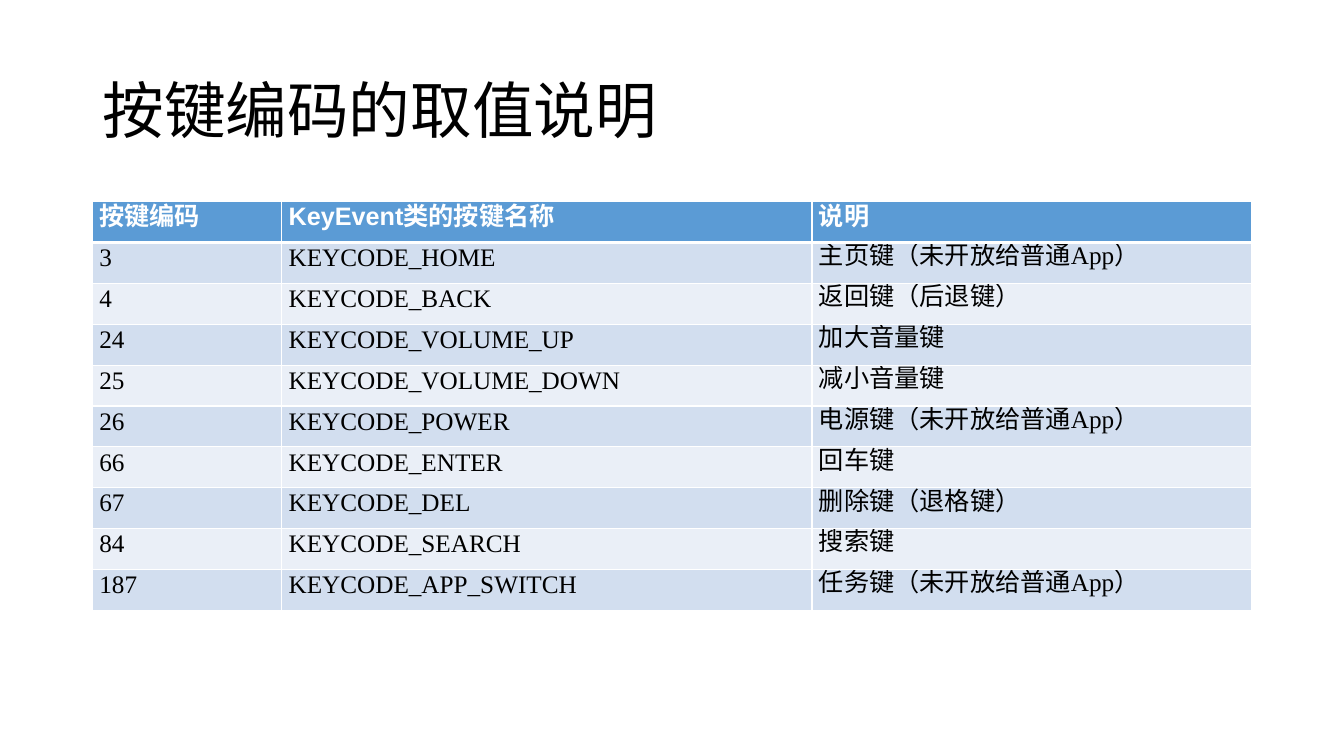
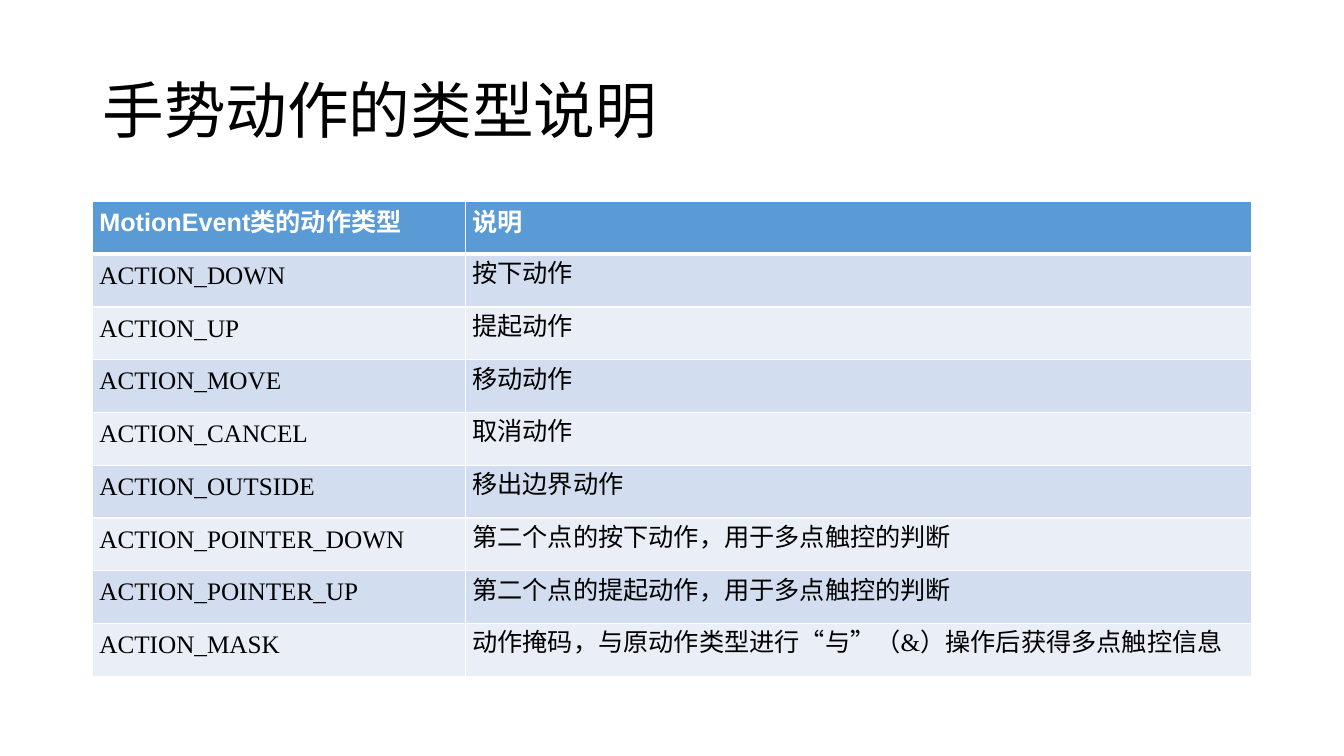
from dataclasses import dataclass
from typing import Any

from lxml.etree import SubElement
from pptx import Presentation
from pptx.dml.color import RGBColor
from pptx.enum.lang import MSO_LANGUAGE_ID
from pptx.enum.text import MSO_ANCHOR, MSO_AUTO_SIZE, PP_ALIGN
from pptx.oxml.ns import qn
from pptx.util import Pt

COLORS = {
    "title": "000000",
    "header_fill": "5B9BD5",
    "header_text": "FFFFFF",
    "body_text": "000000",
    "odd_row": "D2DEEF",
    "even_row": "EAEFF7",
    "border": "FFFFFF",
}
LEFT = 66
CONTENT_WIDTH = 828
TABLE_TOP = 144
THIN_BORDER = 1
THICK_BORDER = 3

TITLE_BOX = {"left": Pt(LEFT), "top": Pt(28.75), "width": Pt(CONTENT_WIDTH), "height": Pt(104.4)}
TITLE_FRAME = {
    "auto_size": MSO_AUTO_SIZE.NONE,
    "word_wrap": True,
    "vertical_anchor": MSO_ANCHOR.MIDDLE,
}
CELL_FORMAT = {
    "vertical_anchor": MSO_ANCHOR.MIDDLE,
    "margin_left": Pt(5),
    "margin_right": Pt(5),
    "margin_top": Pt(0),
    "margin_bottom": Pt(0),
}


@dataclass(frozen=True)
class TextStyle:
    paragraph: dict[str, Any]
    font: dict[str, Any]
    color: str


@dataclass(frozen=True)
class TableSlide:
    title: str
    column_widths: tuple[float, ...]
    row_height: float
    rows: tuple[tuple[str, ...], ...]


TITLE_STYLE = TextStyle(
    {"alignment": PP_ALIGN.LEFT, "line_spacing": 0.9},
    {"name": "Calibri", "size": Pt(44), "bold": False},
    "title",
)
HEADER_STYLE = TextStyle(
    {"alignment": PP_ALIGN.JUSTIFY, "line_spacing": Pt(15.6)},
    {"name": "Arial", "size": Pt(18), "bold": True},
    "header_text",
)
BODY_STYLE = TextStyle(
    {"alignment": PP_ALIGN.LEFT, "line_spacing": Pt(13)},
    {"name": "Times New Roman", "size": Pt(18), "bold": False},
    "body_text",
)

TABLE_SLIDES = (
    TableSlide(
        "按键编码的取值说明",
        (135.2, 378.8, 314),
        29.2,
        (
            ("按键编码", "KeyEvent类的按键名称", "说明"),
            ("3", "KEYCODE_HOME", "主页键（未开放给普通App）"),
            ("4", "KEYCODE_BACK", "返回键（后退键）"),
            ("24", "KEYCODE_VOLUME_UP", "加大音量键"),
            ("25", "KEYCODE_VOLUME_DOWN", "减小音量键"),
            ("26", "KEYCODE_POWER", "电源键（未开放给普通App）"),
            ("66", "KEYCODE_ENTER", "回车键"),
            ("67", "KEYCODE_DEL", "删除键（退格键）"),
            ("84", "KEYCODE_SEARCH", "搜索键"),
            ("187", "KEYCODE_APP_SWITCH", "任务键（未开放给普通App）"),
        ),
    ),
    TableSlide(
        "手势动作的类型说明",
        (266.4, 561.6),
        37.7,
        (
            ("MotionEvent类的动作类型", "说明"),
            ("ACTION_DOWN", "按下动作"),
            ("ACTION_UP", "提起动作"),
            ("ACTION_MOVE", "移动动作"),
            ("ACTION_CANCEL", "取消动作"),
            ("ACTION_OUTSIDE", "移出边界动作"),
            ("ACTION_POINTER_DOWN", "第二个点的按下动作，用于多点触控的判断"),
            ("ACTION_POINTER_UP", "第二个点的提起动作，用于多点触控的判断"),
            ("ACTION_MASK", "动作掩码，与原动作类型进行“与”（&）操作后获得多点触控信息"),
        ),
    ),
)


def apply_format(target: Any, values: dict[str, Any]) -> None:
    for name, value in values.items():
        setattr(target, name, value)


def color_of(name: str) -> RGBColor:
    return RGBColor.from_string(COLORS[name])


def write_text(text_frame: Any, text: str, style: TextStyle) -> None:
    paragraph = text_frame.paragraphs[0]
    apply_format(paragraph, style.paragraph)
    run = paragraph.add_run()
    run.text = text
    apply_format(run.font, style.font)
    run.font.language_id = MSO_LANGUAGE_ID.SIMPLIFIED_CHINESE
    run.font.color.rgb = color_of(style.color)


def add_borders(cell: Any, top: float, bottom: float) -> None:
    properties = cell._tc.get_or_add_tcPr()
    widths = {"a:lnL": THIN_BORDER, "a:lnR": THIN_BORDER, "a:lnT": top, "a:lnB": bottom}
    for tag, width in widths.items():
        line = SubElement(properties, qn(tag), w=str(Pt(width)))
        fill = SubElement(line, qn("a:solidFill"))
        SubElement(fill, qn("a:srgbClr"), val=COLORS["border"])


def format_cell(cell: Any, text: str, row_index: int) -> None:
    is_header = row_index == 0
    band = "odd_row" if row_index % 2 else "even_row"
    apply_format(cell, CELL_FORMAT)
    add_borders(
        cell,
        top=THICK_BORDER if row_index == 1 else THIN_BORDER,
        bottom=THICK_BORDER if is_header else THIN_BORDER,
    )
    cell.fill.solid()
    cell.fill.fore_color.rgb = color_of("header_fill" if is_header else band)
    write_text(cell.text_frame, text, HEADER_STYLE if is_header else BODY_STYLE)


def add_title(slide: Any, text: str) -> None:
    title = slide.shapes.title
    apply_format(title, TITLE_BOX)
    apply_format(title.text_frame, TITLE_FRAME)
    write_text(title.text_frame, text, TITLE_STYLE)


def add_content_table(slide: Any, content: TableSlide) -> None:
    row_count = len(content.rows)
    table = slide.shapes.add_table(
        row_count,
        len(content.column_widths),
        Pt(LEFT),
        Pt(TABLE_TOP),
        Pt(CONTENT_WIDTH),
        Pt(content.row_height * row_count),
    ).table
    for column, width in zip(table.columns, content.column_widths):
        column.width = Pt(width)
    for row_index, (row, texts) in enumerate(zip(table.rows, content.rows)):
        row.height = Pt(content.row_height)
        for cell, text in zip(row.cells, texts):
            format_cell(cell, text, row_index)


def main() -> None:
    presentation = Presentation()
    apply_format(presentation, {"slide_width": Pt(960), "slide_height": Pt(540)})
    title_only = presentation.slide_layouts.get_by_name("Title Only")
    for content in TABLE_SLIDES:
        slide = presentation.slides.add_slide(title_only)
        add_title(slide, content.title)
        add_content_table(slide, content)
    presentation.save("out.pptx")


if __name__ == "__main__":
    main()
